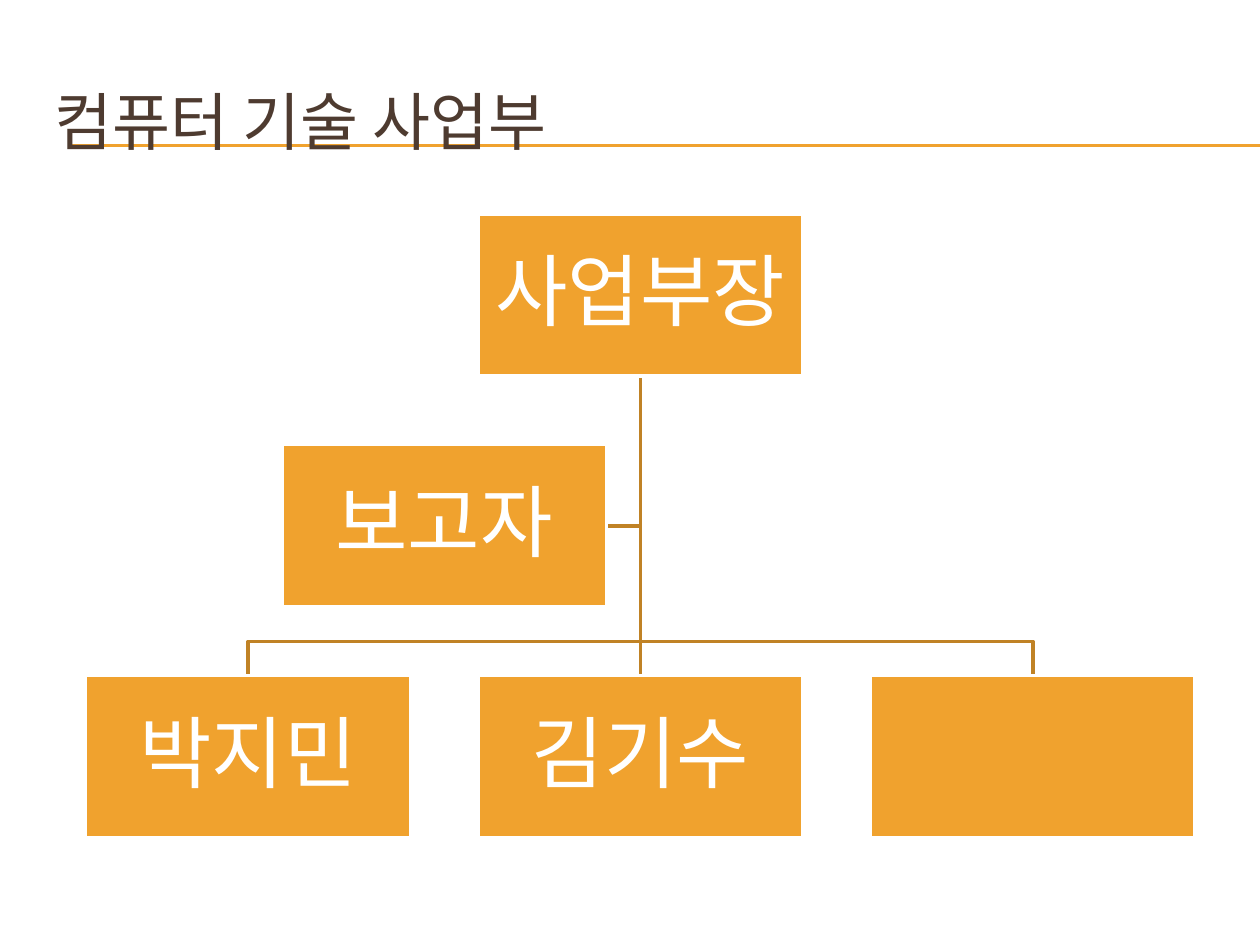
"""Builds the division organisation chart slide."""
from lxml.etree import SubElement
from pptx import Presentation
from pptx.dml.color import RGBColor
from pptx.enum.shapes import MSO_CONNECTOR, MSO_SHAPE
from pptx.enum.text import MSO_ANCHOR, MSO_AUTO_SIZE, PP_ALIGN
from pptx.oxml.ns import qn
from pptx.util import Pt

HUES = {"box": "F0A22E", "link": "C08225", "title": "4E3B30", "white": "FFFFFF"}
WIDE, HIGH = 185.5, 92.8
LEFT, STEP = 49, 224.2
TOP, LOW = 122.2, 386
BUS = 366.5


def hue(name):
    return RGBColor.from_string(HUES[name])


def write(shape, text, size, color, align, inset=None, **gaps):
    frame = shape.text_frame
    frame.word_wrap = True
    frame.auto_size = MSO_AUTO_SIZE.NONE
    frame.vertical_anchor = MSO_ANCHOR.MIDDLE
    if inset is not None:
        frame.margin_left = frame.margin_right = Pt(inset)
        frame.margin_top = frame.margin_bottom = Pt(inset)
    frame.text = text
    para = frame.paragraphs[0]
    para.alignment = align
    for key, value in gaps.items():
        setattr(para, key, value)
    font = para.runs[0].font
    font.name, font.size = "Lato", Pt(size)
    font.color.rgb = hue(color)


def stroke(shape, color, width):
    shape.line.color.rgb = hue(color)
    shape.line.width = Pt(width)


def add_line(shapes, start, end, color, width):
    line = shapes.add_connector(
        MSO_CONNECTOR.STRAIGHT, *(Pt(n) for n in (*start, *end)))
    stroke(line, color, width)
    SubElement(line._element.spPr, qn("a:effectLst"))
    return line


def add_path(shapes, points):
    first, *rest = [(Pt(x), Pt(y)) for x, y in points]
    build = shapes.build_freeform(*first)
    build.add_line_segments(rest, close=False)
    path = build.convert_to_shape()
    path.fill.background()
    path.shadow.inherit = False
    stroke(path, "link", 2)


def add_box(shapes, left, top, text):
    box = shapes.add_shape(
        MSO_SHAPE.RECTANGLE, Pt(left), Pt(top), Pt(WIDE), Pt(HIGH))
    box.shadow.inherit = False
    box.fill.solid()
    box.fill.fore_color.rgb = hue("box")
    stroke(box, "white", 2)
    if text:
        write(box, text, 45, "white", PP_ALIGN.CENTER, inset=2.25,
              line_spacing=0.9, space_after=Pt(15.75))
    return box


def add_title(shapes, text):
    title = shapes.title
    title.left, title.top = Pt(24), Pt(36)
    title.width, title.height = Pt(684), Pt(66)
    write(title, text, 36, "title", PP_ALIGN.LEFT)
    shapes._spTree.append(title._element)


def add_chart(shapes):
    lefts = [LEFT + STEP * col for col in range(3)]
    mids = [left + WIDE / 2 for left in lefts]
    root = mids[1], TOP + HIGH
    aide = LEFT + STEP / 2, (TOP + LOW) / 2
    side = aide[1] + HIGH / 2
    add_path(shapes, [root, (mids[1], side), (aide[0] + WIDE, side)])
    for mid in (mids[2], mids[0]):
        add_path(shapes, [root, (mids[1], BUS), (mid, BUS), (mid, LOW)])
    trunk = add_line(shapes, root, (mids[1], LOW), "link", 2)
    head = add_box(shapes, lefts[1], TOP, "사업부장")
    names = ["박지민", "김기수", ""]
    staff = [add_box(shapes, left, LOW, name) for left, name in zip(lefts, names)]
    add_box(shapes, *aide, "보고자")
    trunk.begin_connect(head, 2)
    trunk.end_connect(staff[1], 0)


def main():
    deck = Presentation()
    deck.slide_width, deck.slide_height = Pt(720), Pt(540)
    shapes = deck.slides.add_slide(deck.slide_layouts[5]).shapes
    for y in (82.8, 83.5):
        add_line(shapes, (40.3, y), (720, y), "box", 0.75)
    add_title(shapes, "컴퓨터 기술 사업부")
    add_chart(shapes)
    deck.save("out.pptx")


if __name__ == "__main__":
    main()
